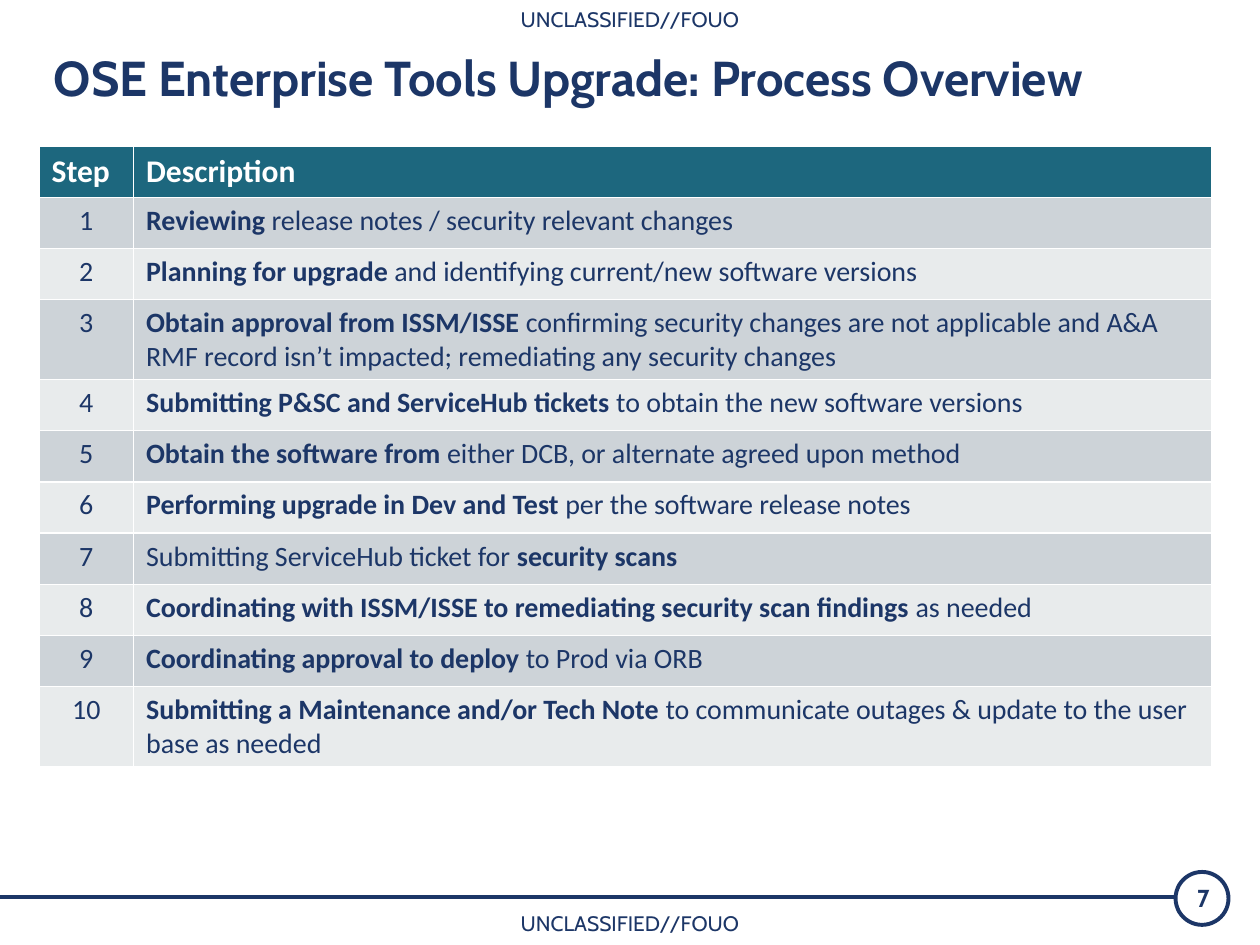
from lxml import etree
from pptx import Presentation
from pptx.dml.color import RGBColor
from pptx.enum.shapes import MSO_CONNECTOR, MSO_SHAPE
from pptx.enum.text import MSO_ANCHOR, PP_ALIGN
from pptx.oxml.ns import qn
from pptx.util import Inches, Pt

NAVY = RGBColor(0x1C, 0x36, 0x67)
TEAL = RGBColor(0x1D, 0x67, 0x7E)
WHITE = RGBColor(0xFF, 0xFF, 0xFF)
GRAY = RGBColor(0xCD, 0xD3, 0xD8)
LIGHT = RGBColor(0xE8, 0xEB, 0xEC)
CENTER, LEFT = PP_ALIGN.CENTER, PP_ALIGN.LEFT
MIDDLE, TOP = MSO_ANCHOR.MIDDLE, MSO_ANCHOR.TOP

STEPS = [
    [("Reviewing", True), (" release notes / security relevant changes", False)],
    [("Planning for upgrade ", True), ("and identifying current/new software versions", False)],
    [("Obtain approval from ISSM/ISSE ", True),
     ("confirming security changes are not applicable and A&A RMF record isn’t impacted; "
      "remediating any security changes", False)],
    [("Submitting P&SC and ServiceHub tickets ", True), ("to obtain the new software versions", False)],
    [("Obtain the software from ", True), ("either DCB, or alternate agreed upon method", False)],
    [("Performing upgrade in Dev and Test ", True), ("per the software release notes", False)],
    [("Submitting ServiceHub ticket for ", False), ("security scans", True)],
    [("Coordinating with ISSM/ISSE to remediating security scan findings ", True), ("as needed", False)],
    [("Coordinating approval to deploy", True), (" to Prod via ORB", False)],
    [("Submitting a Maintenance and/or Tech Note ", True),
     ("to communicate outages & update to the user base as needed", False)],
]


def style(paragraph, size, name, color, bold=None, align=LEFT):
    paragraph.alignment = align
    paragraph.font.size = Pt(size)
    paragraph.font.name = name
    paragraph.font.color.rgb = color
    paragraph.font.bold = bold


def add_label(text, left, top, width, height, size, bold, align, anchor):
    frame = slide.shapes.add_textbox(
        Inches(left), Inches(top), Inches(width), Inches(height)).text_frame
    frame.word_wrap = True
    frame.vertical_anchor = anchor
    frame.text = text
    style(frame.paragraphs[0], size, "Cabin", NAVY, bold, align)


prs = Presentation()
prs.slide_width, prs.slide_height = Inches(10), Inches(7.5)
slide = prs.slides.add_slide(prs.slide_layouts[6])

for marking_top in (0, 7.18):
    add_label("UNCLASSIFIED//FOUO", 0, marking_top, 10, 0.3, 12, False, CENTER, TOP)

footer_rule = slide.shapes.add_connector(
    MSO_CONNECTOR.STRAIGHT, Inches(0), Inches(7.12), Inches(9.33), Inches(7.12))
etree.SubElement(footer_rule._element.spPr, qn("a:effectLst"))
number_ring = slide.shapes.add_shape(
    MSO_SHAPE.OVAL, Inches(9.33), Inches(6.92), Inches(0.42), Inches(0.42))
number_ring.shadow.inherit = False
number_ring.fill.background()
for part in (footer_rule, number_ring):
    part.line.color.rgb = NAVY
    part.line.width = Pt(2.25)

add_label("OSE Enterprise Tools Upgrade: Process Overview",
          0.33, 0.33, 9.26, 0.83, 28, True, LEFT, TOP)
add_label("7", 9.19, 6.96, 0.72, 0.33, 14, True, CENTER, MIDDLE)

process = slide.shapes.add_table(
    len(STEPS) + 1, 2, Inches(0.31), Inches(1.16), Inches(9.31), Inches(4.47)).table
process.columns[0].width = Inches(0.75)
process.columns[1].width = Inches(8.56)

for column, heading in enumerate(("Step", "Description")):
    cell = process.cell(0, column)
    cell.fill.solid()
    cell.fill.fore_color.rgb = TEAL
    cell.text = heading
    style(cell.text_frame.paragraphs[0], 18, "Calibri", WHITE, True)

for number, description in enumerate(STEPS, 1):
    row = [[(str(number), False)], description]
    for column, (runs, align) in enumerate(zip(row, (CENTER, LEFT))):
        cell = process.cell(number, column)
        cell.fill.solid()
        cell.fill.fore_color.rgb = GRAY if number % 2 else LIGHT
        paragraph = cell.text_frame.paragraphs[0]
        style(paragraph, 16, "Calibri", NAVY, align=align)
        for text, bold in runs:
            run = paragraph.add_run()
            run.text = text
            run.font.bold = bold

prs.save("out.pptx")
